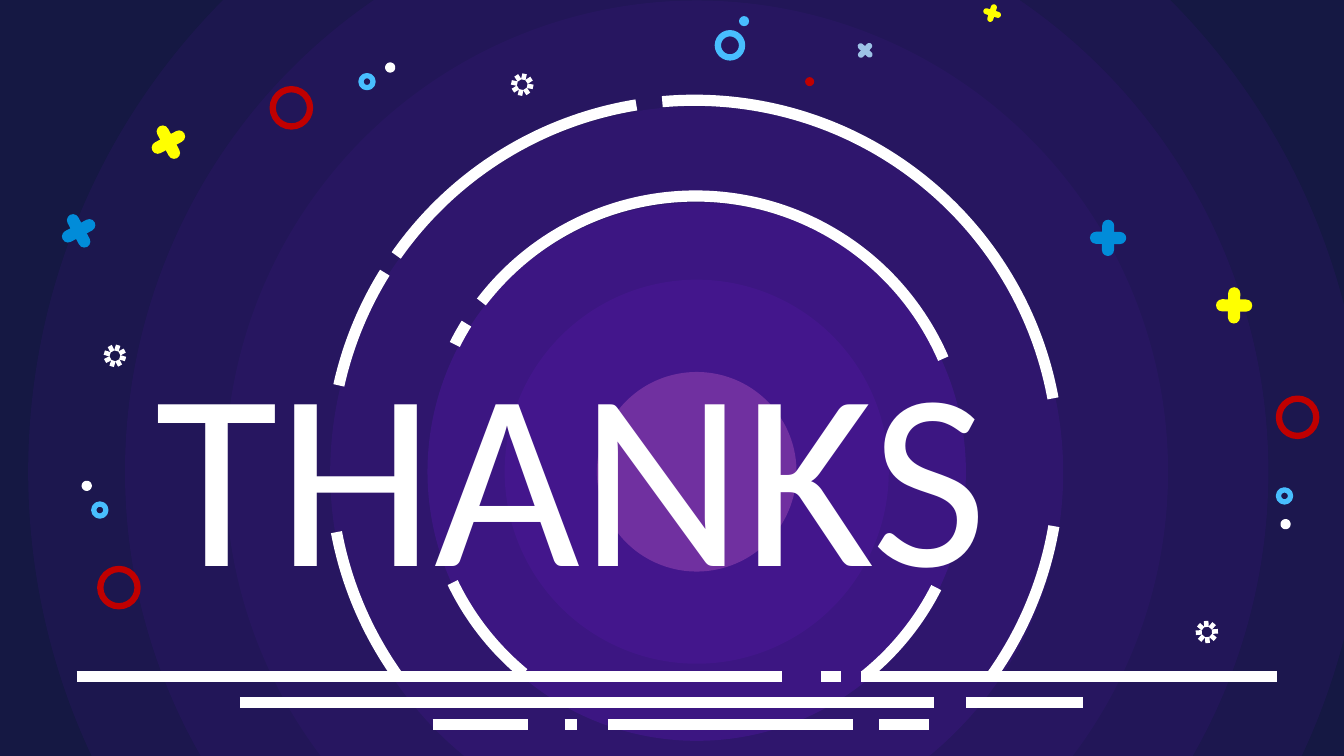
from dataclasses import dataclass
from math import cos, radians, sin

from lxml.etree import SubElement
from pptx import Presentation
from pptx.dml.color import RGBColor
from pptx.enum.shapes import MSO_CONNECTOR, MSO_SHAPE
from pptx.enum.text import MSO_AUTO_SIZE
from pptx.oxml.ns import qn
from pptx.util import Inches, Pt


@dataclass(frozen=True)
class Theme:
    """Colours, font and sizes of the slide."""
    night: str = "151843"
    halo: str = "43168D"
    core: str = "43168C"
    heart: str = "7030A0"
    white: str = "FFFFFF"
    yellow: str = "FFFF00"
    gold: str = "FEDF1F"
    red: str = "C00000"
    sky: str = "48BEFE"
    blue: str = "018CD9"
    pale: str = "9DC3E6"
    font: str = "Calibri"
    title: float = 180
    thick: float = 8
    ring: float = 4.5
    bead: float = 3.75
    tick: float = 3.25


THEME = Theme()


def rgb(code):
    """Turn a hex code into a colour."""
    return RGBColor.from_string(code)


def add_form(slide, kind, mid, size, fill=None, line=None, width=0):
    """Add a preset shape around its centre."""
    x, y = mid
    w, h = size
    form = slide.shapes.add_shape(
        kind, Inches(x - w / 2), Inches(y - h / 2), Inches(w), Inches(h))
    form.shadow.inherit = False
    if fill:
        form.fill.solid()
        form.fill.fore_color.rgb = rgb(fill)
    else:
        form.fill.background()
    if line:
        form.line.color.rgb = rgb(line)
        form.line.width = Pt(width)
    else:
        form.line.fill.background()
    return form


def add_disc(slide, mid, size, fill=None, line=None, width=0):
    """Add a circle."""
    return add_form(slide, MSO_SHAPE.OVAL, mid, (size, size), fill, line, width)


def add_halo(slide, mid, size, fill, alpha):
    """Add a circle that lets the layers below show through."""
    disc = add_disc(slide, mid, size, fill)
    if alpha < 100:
        tint = disc.fill._xPr.find(".//" + qn("a:srgbClr"))
        SubElement(tint, qn("a:alpha"), val=str(alpha * 1000))


def add_line(slide, start, end, width):
    """Add a straight white line."""
    line = slide.shapes.add_connector(
        MSO_CONNECTOR.STRAIGHT, *(Inches(v) for v in (*start, *end)))
    line.line.color.rgb = rgb(THEME.white)
    line.line.width = Pt(width)
    SubElement(line._element.spPr, qn("a:effectLst"))


def add_arc(slide, mid, size, start, end):
    """Add a white arc between two angles in degrees."""
    arc = add_form(slide, MSO_SHAPE.ARC, mid, (size, size),
                   line=THEME.white, width=THEME.thick)
    for i, angle in enumerate((start, end)):
        arc.adjustments[i] = angle * 0.6


def add_cross(slide, mid, size, turn, fill):
    """Add two rounded bars at right angles."""
    for angle in (turn, turn + 90):
        bar = add_form(slide, MSO_SHAPE.ROUNDED_RECTANGLE, mid,
                       (size / 3, size), fill)
        bar.adjustments[0] = 0.5
        bar.rotation = angle


def add_burst(slide, mid, turn):
    """Add eight short ticks around a centre."""
    for step in range(8):
        angle = radians(turn + 45 * step)
        far, near = [(mid[0] + r * cos(angle), mid[1] + r * sin(angle))
                     for r in (0.11, 0.05)]
        add_line(slide, far, near, THEME.tick)


def add_swarm(slide, eye, burst, turn, dot, ring):
    """Add a set of eye, burst, dot and ring."""
    add_disc(slide, eye, 0.12, line=THEME.sky, width=THEME.bead)
    add_burst(slide, burst, turn)
    add_disc(slide, dot, 0.05, THEME.gold, THEME.white, THEME.bead)
    add_disc(slide, ring, 0.37, line=THEME.red, width=THEME.ring)


def add_title(slide, text):
    """Add the large title."""
    box = slide.shapes.add_textbox(
        Inches(1.44), Inches(3.07), Inches(11.14), Inches(3.1))
    frame = box.text_frame
    frame.word_wrap = True
    frame.auto_size = MSO_AUTO_SIZE.SHAPE_TO_FIT_TEXT
    run = frame.paragraphs[0].add_run()
    run.text = text
    run.font.name = THEME.font
    run.font.size = Pt(THEME.title)
    run.font.color.rgb = rgb(THEME.white)


def main():
    """Build the slide and save it."""
    deck = Presentation()
    deck.slide_width, deck.slide_height = Inches(13.33), Inches(7.5)
    slide = deck.slides.add_slide(deck.slide_layouts[6])
    slide.background.fill.solid()
    slide.background.fill.fore_color.rgb = rgb(THEME.night)

    halos = [
        (4.68, 13.26, THEME.halo, 16), (4.68, 11.34, THEME.halo, 16),
        (4.68, 9.35, THEME.halo, 16), (4.69, 7.27, THEME.halo, 29),
        (4.68, 5.34, THEME.halo, 68), (4.68, 3.81, THEME.core, 100),
        (4.68, 1.98, THEME.heart, 100)]
    for y, size, fill, alpha in halos:
        add_halo(slide, (6.91, y), size, fill, alpha)

    ground = {
        6.71: [(0.76, 7.76), (8.14, 8.34), (8.54, 12.67)],
        6.97: [(2.38, 9.26), (9.58, 10.74)],
        7.19: [(4.29, 5.24), (5.6, 5.72), (6.03, 8.46), (8.72, 9.21)]}
    for y, spans in ground.items():
        for left, right in spans:
            add_line(slide, (left, y), (right, y), THEME.thick)

    add_title(slide, "THANKS")

    arcs = [
        ((6.9, 4.62), 5.35, [(129.6, 154.3), (26.88, 51.27),
                             (206.71, 211.79), (217.38, 336.62)]),
        ((6.89, 4.61), 7.23, [(144.86, 169.32), (9.72, 35.37),
                              (192.56, 211.79), (264.91, 349.52),
                              (215.04, 260.8)])]
    for mid, size, spans in arcs:
        for start, end in spans:
            add_arc(slide, mid, size, start, end)

    swarms = [
        ((3.64, 0.81), (5.18, 0.84), 12, (3.87, 0.67), (2.89, 1.07)),
        ((12.74, 4.92), (11.97, 6.27), 41, (12.75, 5.2), (12.87, 4.14)),
        ((0.99, 5.06), (1.14, 3.53), 17, (0.86, 4.82), (1.18, 5.83))]
    for swarm in swarms:
        add_swarm(slide, *swarm)

    add_disc(slide, (7.24, 0.45), 0.24, line=THEME.sky, width=THEME.ring)
    add_disc(slide, (7.38, 0.21), 0.1, THEME.sky)
    add_disc(slide, (8.03, 0.81), 0.09, THEME.red)

    stars = [
        ((1.67, 1.41), 0.36, 62, THEME.yellow),
        ((0.78, 2.29), 0.36, 62, THEME.blue),
        ((8.58, 0.5), 0.18, 43.2, THEME.pale),
        ((9.84, 0.13), 0.18, 17.2, THEME.yellow),
        ((12.24, 3.03), 0.36, 0.6, THEME.yellow),
        ((10.99, 2.36), 0.36, 0.6, THEME.blue)]
    for star in stars:
        add_cross(slide, *star)

    deck.save("out.pptx")


if __name__ == "__main__":
    main()
